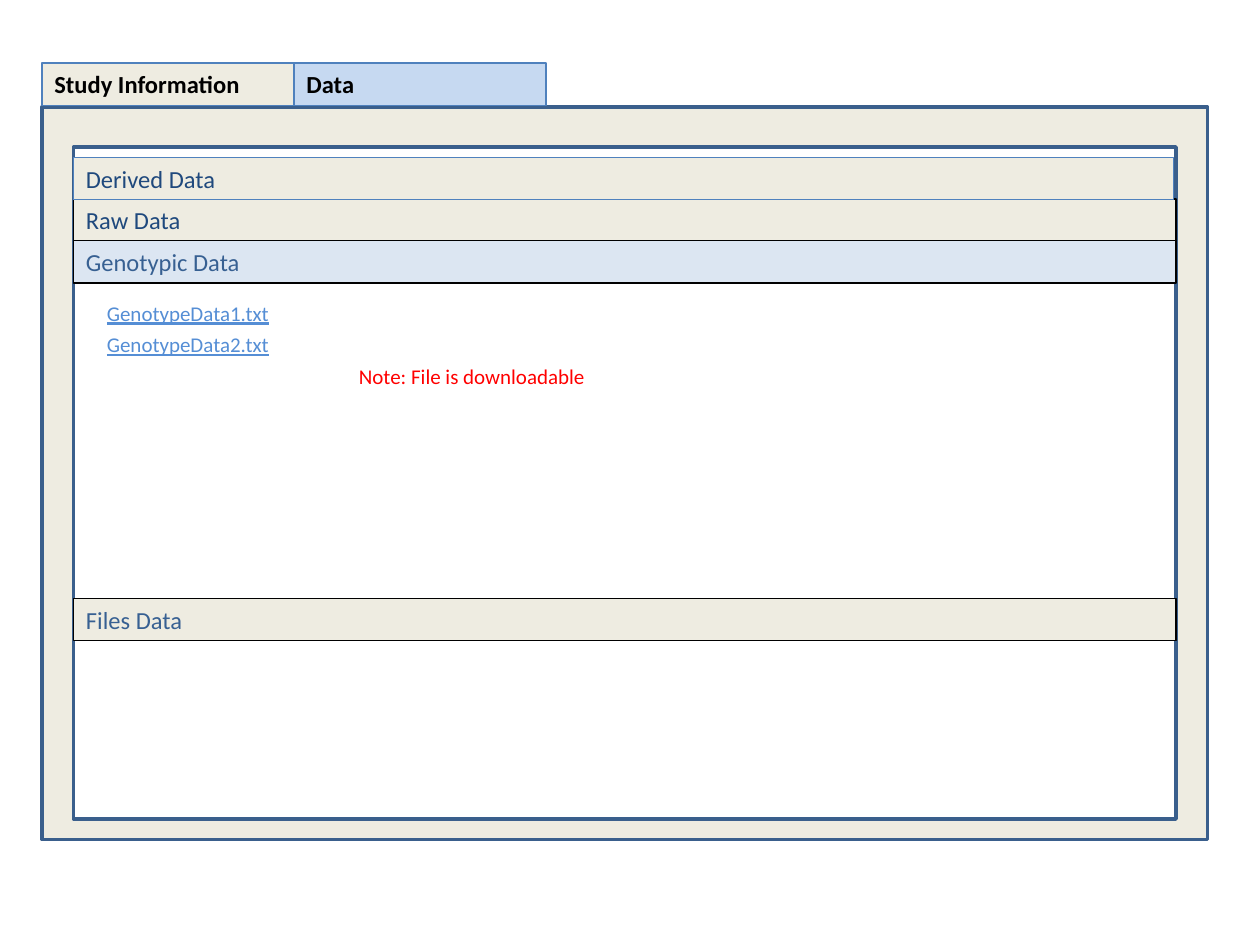
from dataclasses import dataclass

from pptx import Presentation
from pptx.dml.color import RGBColor
from pptx.enum.shapes import MSO_SHAPE
from pptx.enum.text import MSO_ANCHOR, MSO_AUTO_SIZE, PP_ALIGN
from pptx.util import Pt

RECTANGLE = MSO_SHAPE.RECTANGLE
TOP = MSO_ANCHOR.TOP
LEFT = PP_ALIGN.LEFT
GROW = MSO_AUTO_SIZE.SHAPE_TO_FIT_TEXT


@dataclass(frozen=True)
class Theme:
    """Colours, type sizes and line widths of the slide."""

    font: str = "Calibri"
    heading: int = 14
    body: int = 12
    thin: float = 0.75
    thick: float = 2
    frame: str = "3A5F8C"
    beige: str = "EEECE1"
    white: str = "FFFFFF"
    black: str = "000000"
    edge: str = "4F81BD"
    active_tab: str = "C6D9F1"
    active_bar: str = "DCE6F2"
    navy: str = "1F497D"
    blue: str = "376092"
    link: str = "558ED5"
    note: str = "FF0000"


THEME = Theme()


def write_text(shape, text, size, color, wrap=True, **formats):
    """Write one left-aligned line in a shape."""
    frame = shape.text_frame
    frame.word_wrap = wrap
    frame.auto_size = GROW
    frame.vertical_anchor = TOP
    para = frame.paragraphs[0]
    para.alignment = LEFT
    span = para.add_run()
    span.text = text
    for name, value in {"name": THEME.font, "size": Pt(size), **formats}.items():
        setattr(span.font, name, value)
    span.font.color.rgb = RGBColor.from_string(color)


def add_box(page, box, fill, line, weight):
    """Draw a flat outlined rectangle."""
    shape = page.shapes.add_shape(RECTANGLE, *map(Pt, box))
    shape.shadow.inherit = False
    shape.fill.solid()
    shape.fill.fore_color.rgb = RGBColor.from_string(fill)
    shape.line.color.rgb = RGBColor.from_string(line)
    shape.line.width = Pt(weight)
    return shape


def add_panel(page, box):
    """Draw the beige panel with its white content area, and return that area."""
    left, top, width, height = box
    content = (left + 18, top + 22.8, width - 36, height - 34.5)
    add_box(page, box, THEME.beige, THEME.frame, THEME.thick)
    add_box(page, content, THEME.white, THEME.frame, THEME.thick)
    return content


def add_sections(page, box):
    """Stack the section bars in the content area."""
    left, top, width, _ = box
    bars = [
        ("Raw Data", 29.8, width, THEME.beige, THEME.black, THEME.navy),
        ("Genotypic Data", 53.6, width, THEME.active_bar, THEME.black, THEME.blue),
        ("Derived Data", 6, width - 1.5, THEME.beige, THEME.edge, THEME.navy),
        ("Files Data", 258, width, THEME.beige, THEME.black, THEME.blue),
    ]
    for text, offset, bar_width, fill, line, color in bars:
        bar = add_box(page, (left, top + offset, bar_width, 24.2), fill, line, THEME.thin)
        write_text(bar, text, THEME.heading, color)


def add_tabs(page, box):
    """Set the tabs side by side in equal widths."""
    left, top, width, height = box
    tabs = [("Study Information", THEME.beige), ("Data", THEME.active_tab)]
    tab_width = width / len(tabs)
    for index, (text, fill) in enumerate(tabs):
        place = (left + index * tab_width, top, tab_width, height)
        tab = add_box(page, place, fill, THEME.edge, THEME.thin)
        write_text(tab, text, THEME.heading, THEME.black, bold=True)


def add_files(page, box):
    """List the file links and the note one line apart."""
    left, top, width, height = box
    lines = [
        ("GenotypeData1.txt", 0, width, THEME.link, {"underline": True}),
        ("GenotypeData2.txt", 0, width, THEME.link, {"underline": True}),
        ("Note: File is downloadable", 144, 145.5, THEME.note, {}),
    ]
    for index, (text, indent, line_width, color, formats) in enumerate(lines):
        place = (left + indent, top + index * 18, line_width, height)
        label = page.shapes.add_textbox(*map(Pt, place))
        write_text(label, text, THEME.body, color, wrap=False, **formats)


def main():
    """Build the slide and save the deck."""
    deck = Presentation()
    deck.slide_width, deck.slide_height = Pt(720), Pt(540)
    page = deck.slides.add_slide(deck.slide_layouts[6])
    content = add_panel(page, (24, 61.2, 666, 418.5))
    add_sections(page, content)
    add_tabs(page, (24, 36, 288, 24.2))
    add_files(page, (54, 168, 108, 21.8))
    deck.save("out.pptx")


if __name__ == "__main__":
    main()
